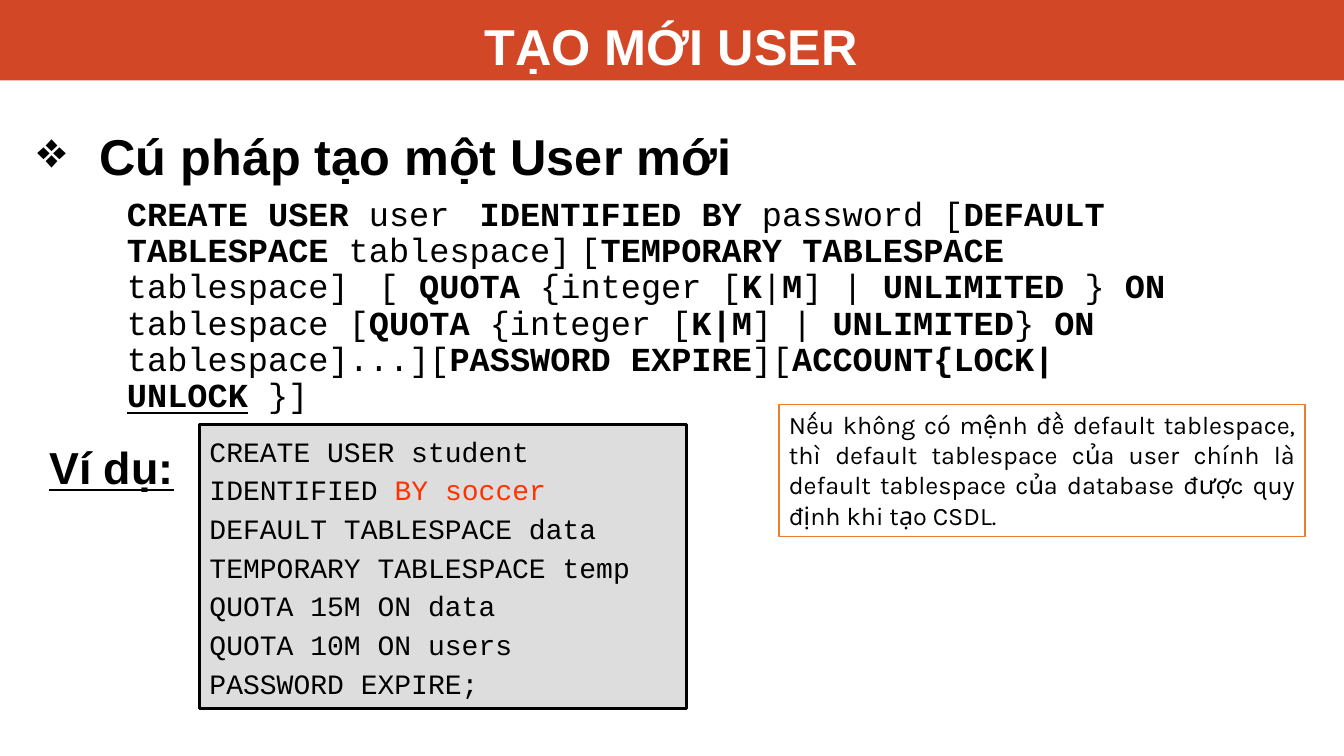
import pptx
import pptx.dml.color
import pptx.enum.shapes
import pptx.enum.text
import pptx.util
import pptx.oxml.ns
import lxml.etree

Cm = pptx.util.Cm
Pt = pptx.util.Pt
ALIGN = pptx.enum.text.PP_ALIGN
ANCHOR = pptx.enum.text.MSO_ANCHOR


def colour(hex_string):
    return pptx.dml.color.RGBColor.from_string(hex_string)


class SlideBuilder:
    """Holds the style and the current slide."""
    heading_font = "Arial"
    code_font = "Courier New"
    note_font = "Karla"
    ink = "000000"

    def __init__(self, page):
        self.page = page

    def panel(self, left, top, width, height, fill, line=None, weight=1):
        box = self.page.shapes.add_shape(
            pptx.enum.shapes.MSO_SHAPE.RECTANGLE,
            Cm(left), Cm(top), Cm(width), Cm(height))
        box.shadow.inherit = False
        box.fill.solid()
        box.fill.fore_color.rgb = colour(fill)
        if line:
            box.line.color.rgb = colour(line)
            box.line.width = Pt(weight)
        else:
            box.line.fill.background()
        return box

    def text_box(self, left, top, width, height):
        return self.page.shapes.add_textbox(
            Cm(left), Cm(top), Cm(width), Cm(height))

    def set_lines(self, box, lines, font, size, align=ALIGN.LEFT,
                  anchor=ANCHOR.TOP, spacing=None):
        """Each line is a list of (text, style); style may hold
        bold, underline and color."""
        frame = box.text_frame
        frame.word_wrap = True
        frame.vertical_anchor = anchor
        for number, spans in enumerate(lines):
            para = frame.add_paragraph() if number else frame.paragraphs[0]
            para.alignment = align
            para.line_spacing = spacing
            for text, style in spans:
                span = para.add_run()
                span.text = text
                span.font.name = font
                span.font.size = Pt(size)
                span.font.bold = style.get("bold", False)
                span.font.underline = style.get("underline", False)
                span.font.color.rgb = colour(style.get("color", self.ink))
        return frame

    def heading(self, box, text, size, align=ALIGN.LEFT, **style):
        return self.set_lines(box, [[(text, {"bold": True, **style})]],
                              self.heading_font, size, align, ANCHOR.BOTTOM)

    def indent(self, para, left, first=0, bullet=None):
        properties = para._p.get_or_add_pPr()
        properties.set("marL", str(Cm(left)))
        properties.set("indent", str(Cm(first)))
        if bullet:
            mark = lxml.etree.SubElement(properties,
                                         pptx.oxml.ns.qn("a:buChar"))
            mark.set("char", bullet)


# Keywords of the syntax stand between asterisks
SYNTAX = ("*CREATE USER *user\t*IDENTIFIED BY *password [*DEFAULT TABLESPACE *"
          "tablespace]\t[*TEMPORARY TABLESPACE *tablespace]\t[ *QUOTA* "
          "{integer [*K*|*M*] | *UNLIMITED* } *ON *tablespace [*QUOTA* "
          "{integer [*K|M*] | *UNLIMITED*} *ON *tablespace]...]["
          "*PASSWORD EXPIRE*][*ACCOUNT{LOCK|*")
EXAMPLE = [
    [("CREATE USER student", {})],
    [("IDENTIFIED ", {}), ("BY soccer", {"color": "FF3300"})],
    [("DEFAULT TABLESPACE data", {})],
    [("TEMPORARY TABLESPACE temp", {})],
    [("QUOTA 15M ON data", {})],
    [("QUOTA 10M ON users", {})],
    [("PASSWORD EXPIRE;", {})],
]
NOTE = ("Nếu không có mệnh đề default tablespace, thì default tablespace của "
        "user chính là default tablespace của database được quy định khi "
        "tạo CSDL.")


def main():
    deck = pptx.Presentation()
    deck.slide_width = Cm(33.87)
    deck.slide_height = Cm(19.05)
    builder = SlideBuilder(deck.slides.add_slide(deck.slide_layouts[6]))

    # Title band
    builder.panel(0, 0, 33.87, 2.03, "D24726")
    builder.heading(builder.text_box(0.48, 0, 32.87, 2.03), "TẠO MỚI USER",
                    36, ALIGN.CENTER, color="FFFFFF")

    # Bulleted heading
    frame = builder.heading(builder.text_box(0.69, 2.36, 20.32, 2.44),
                            "Cú pháp tạo một User mới", 36)
    builder.indent(frame.paragraphs[0], 1.57, -1.57, "❖")

    # Syntax of the statement
    spans = [(text, {"bold": number % 2 == 1})
             for number, text in enumerate(SYNTAX.split("*")) if text]
    spans += [("UNLOCK", {"bold": True, "underline": True}), (" }]", {})]
    frame = builder.set_lines(builder.text_box(1.68, 4.85, 28.8, 7.32),
                              [spans], builder.code_font, 24, spacing=0.9)
    builder.indent(frame.paragraphs[0], 1.27)

    # Example code
    code = builder.panel(5.03, 10.69, 12.27, 7.16, "DDDDDD", "000000", 2.25)
    builder.set_lines(code, EXAMPLE, builder.code_font, 20, spacing=1.15)
    builder.heading(builder.text_box(0.99, 10.13, 20.32, 2.44), "Ví dụ:", 32,
                    underline=True)

    # Note on the default tablespace
    note = builder.panel(19.63, 10.19, 13.26, 3.33, "FFFFFF", "ED7D31")
    builder.set_lines(note, [[(NOTE, {})]], builder.note_font, 18,
                      ALIGN.JUSTIFY)

    deck.save("out.pptx")


if __name__ == "__main__":
    main()
